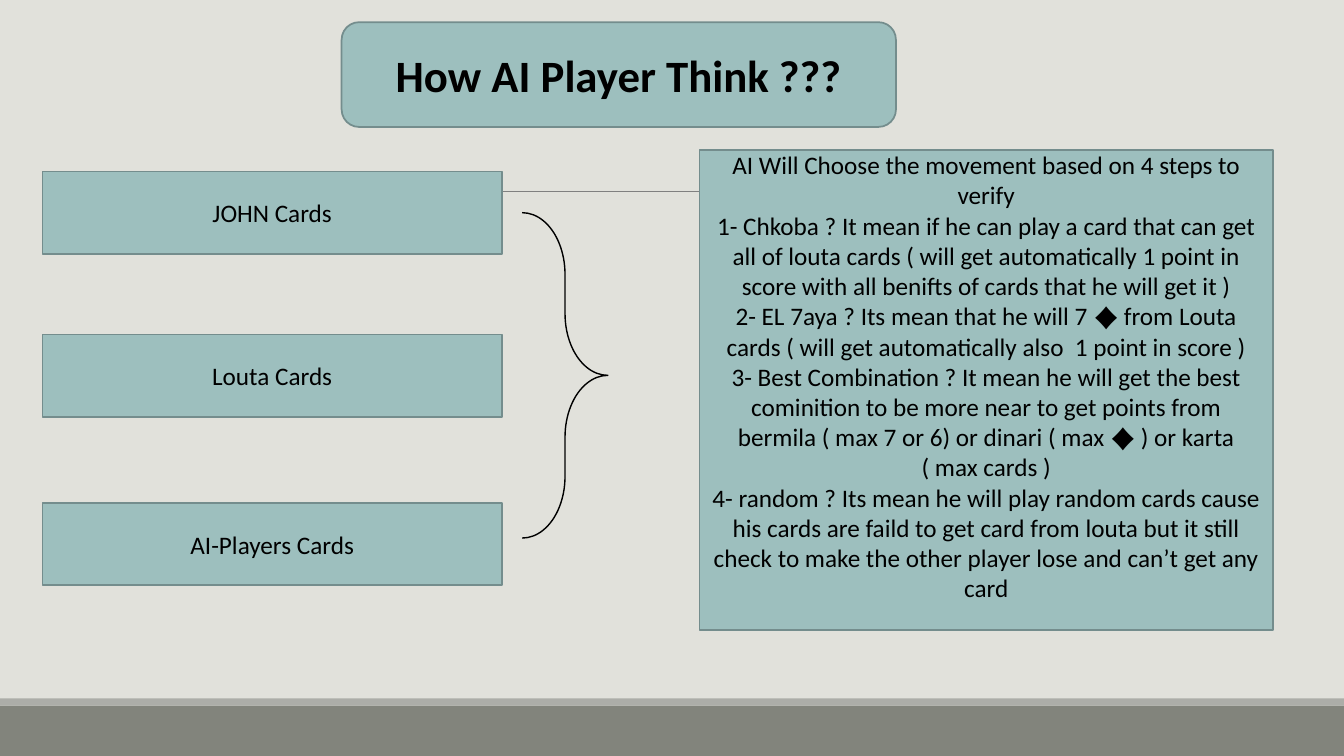
from dataclasses import dataclass

import pptx
import pptx.dml.color
import pptx.enum.shapes
import pptx.enum.text
import pptx.oxml
import pptx.oxml.ns
import pptx.util

Cm = pptx.util.Cm
Pt = pptx.util.Pt
Shape = pptx.enum.shapes.MSO_SHAPE

COLOURS = {
    "background": "E1E1DB",
    "footer": "82847C",
    "footer_edge": "ACADA8",
    "rule": "808080",
    "box": "9DBFBE",
    "box_edge": "748D8D",
    "ink": "000000",
}
FONT = "Calibri"
SLIDE_WIDTH, SLIDE_HEIGHT = 33.87, 19.05
CARDS_LEFT, CARDS_WIDTH, CARDS_HEIGHT = 1.07, 11.58, 2.08

STEPS = (
    "AI Will Choose the movement based on 4 steps to verify",
    "1- Chkoba ? It mean if he can play a card that can get all of louta cards "
    "( will get automatically 1 point in score with all benifts of cards that he will get it )",
    "2- EL 7aya ? Its mean that he will 7 ♦ from Louta cards "
    "( will get automatically also  1 point in score )",
    "3- Best Combination ? It mean he will get the best cominition to be more near "
    "to get points from bermila ( max 7 or 6) or dinari ( max ♦ ) or karta ( max cards )",
    "4- random ? Its mean he will play random cards cause his cards are faild to get card "
    "from louta but it still check to make the other player lose and can’t get any card",
)


@dataclass(frozen=True)
class Box:
    """A shape with its place in centimetres, its colours and its text."""
    left: float
    top: float
    width: float
    height: float
    kind: Shape = Shape.RECTANGLE
    fill: str | None = "box"
    edge: str | None = "box_edge"
    edge_points: float = 1.25
    paragraphs: tuple[str, ...] = ()
    size: int = 18
    bold: bool = False
    inset_top: float = 0.13
    inset_bottom: float = 0.13


BAND = Box(0, 17.78, SLIDE_WIDTH, 1.27, fill="footer", edge=None)
BAND_EDGE = Box(0, 17.6, SLIDE_WIDTH, 0.18, fill="footer_edge", edge=None)
TITLE = Box(8.61, 0.56, 13.97, 2.64, Shape.ROUNDED_RECTANGLE,
            paragraphs=("How AI Player Think ???",), size=32, bold=True)
CARDS = [
    Box(CARDS_LEFT, top, CARDS_WIDTH, CARDS_HEIGHT, paragraphs=(label,))
    for label, top in (("JOHN Cards", 4.32), ("Louta Cards", 8.43), ("AI-Players Cards", 12.67))
]
BRACE = Box(13.16, 5.36, 2.16, 8.2, Shape.RIGHT_BRACE, fill=None, edge="ink", edge_points=1)
STEPS_PANEL = Box(17.63, 3.78, 14.45, 12.09, paragraphs=STEPS, inset_top=0, inset_bottom=0.69)


def colour(name: str) -> pptx.dml.color.RGBColor:
    return pptx.dml.color.RGBColor.from_string(COLOURS[name])


def write_text(shape: pptx.shapes.autoshape.Shape, box: Box) -> None:
    frame = shape.text_frame
    frame.word_wrap = True
    frame.vertical_anchor = pptx.enum.text.MSO_ANCHOR.MIDDLE
    frame.margin_top, frame.margin_bottom = Cm(box.inset_top), Cm(box.inset_bottom)
    for index, text in enumerate(box.paragraphs):
        paragraph = frame.add_paragraph() if index else frame.paragraphs[0]
        paragraph.alignment = pptx.enum.text.PP_ALIGN.CENTER
        run = paragraph.add_run()
        run.text = text
        run.font.name = FONT
        run.font.size = Pt(box.size)
        run.font.bold = box.bold
        run.font.color.rgb = colour("ink")


def draw_box(slide: pptx.slide.Slide, box: Box) -> pptx.shapes.autoshape.Shape:
    shape = slide.shapes.add_shape(
        box.kind, Cm(box.left), Cm(box.top), Cm(box.width), Cm(box.height))
    shape.shadow.inherit = False
    if box.fill:
        shape.fill.solid()
        shape.fill.fore_color.rgb = colour(box.fill)
    else:
        shape.fill.background()
    if box.edge:
        shape.line.color.rgb = colour(box.edge)
        shape.line.width = Pt(box.edge_points)
    else:
        shape.line.fill.background()
    if box.paragraphs:
        write_text(shape, box)
    return shape


def draw_rule(slide: pptx.slide.Slide, left: float, right: float, top: float) -> None:
    rule = slide.shapes.add_connector(
        pptx.enum.shapes.MSO_CONNECTOR.STRAIGHT, Cm(left), Cm(top), Cm(right), Cm(top))
    rule.line.color.rgb = colour("rule")
    rule.line.width = Pt(0.5)
    properties = rule._element.spPr
    properties.append(pptx.oxml.parse_xml(f"<a:effectLst {pptx.oxml.ns.nsdecls('a')}/>"))


def main() -> None:
    presentation = pptx.Presentation()
    presentation.slide_width = Cm(SLIDE_WIDTH)
    presentation.slide_height = Cm(SLIDE_HEIGHT)
    slide = presentation.slides.add_slide(presentation.slide_layouts[6])
    slide.background.fill.solid()
    slide.background.fill.fore_color.rgb = colour("background")

    for band in (BAND, BAND_EDGE):
        draw_box(slide, band)
    draw_rule(slide, left=3.33, right=31.01, top=4.83)
    for box in (TITLE, *CARDS, STEPS_PANEL):
        draw_box(slide, box)
    brace = draw_box(slide, BRACE)
    brace.adjustments[0] = 0.72

    presentation.save("out.pptx")


if __name__ == "__main__":
    main()
